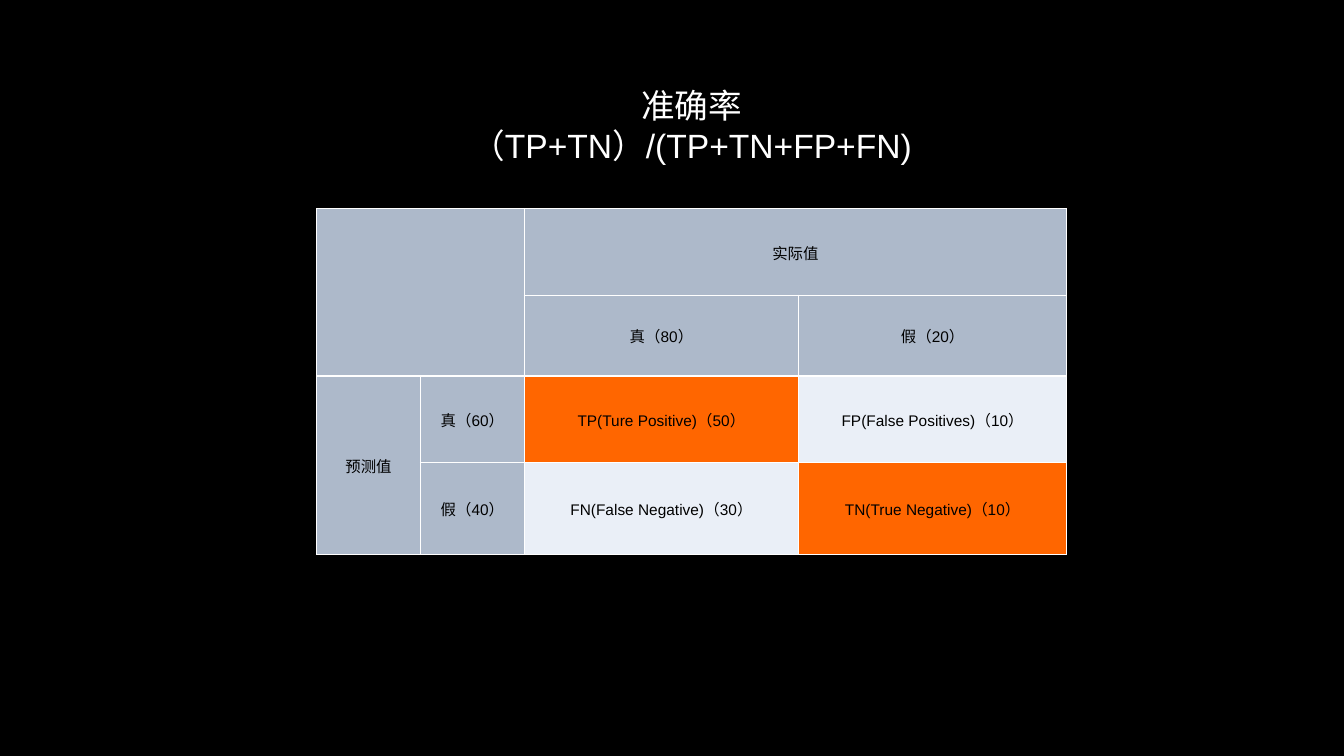
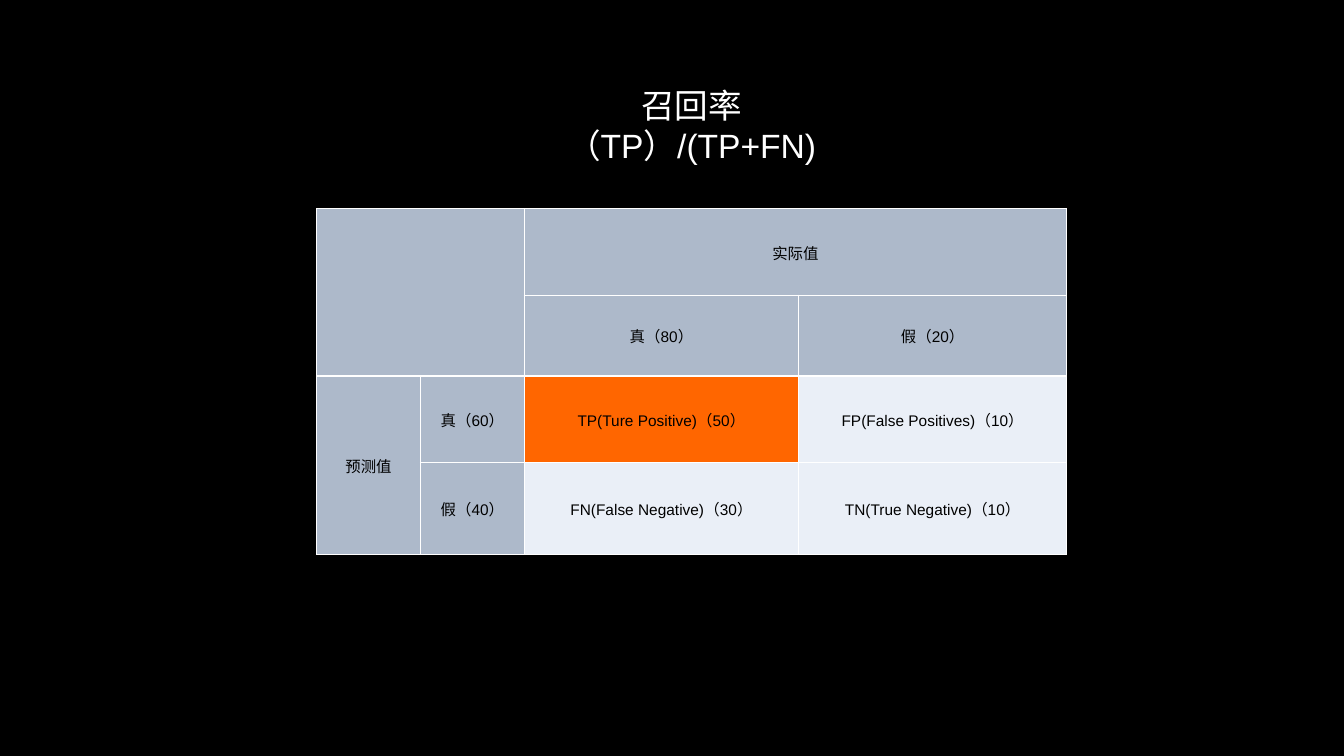
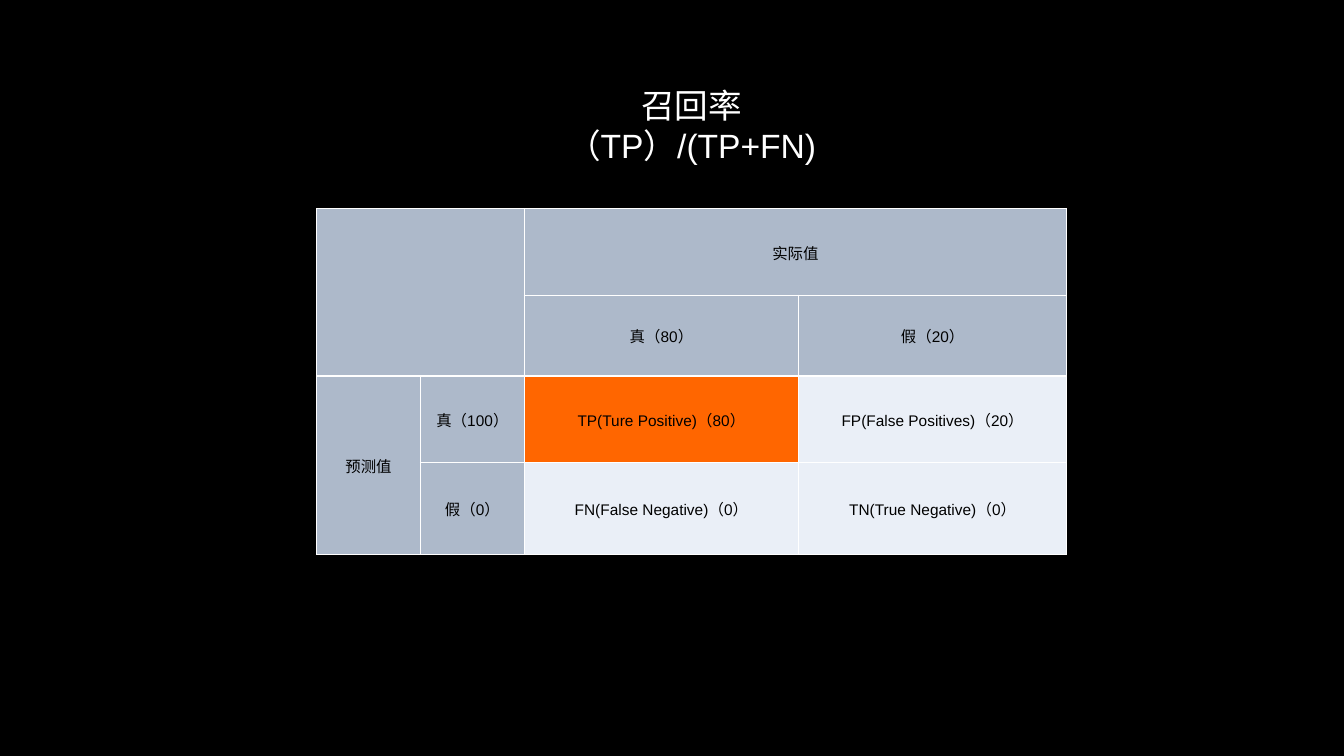
from dataclasses import dataclass

from lxml.etree import SubElement
from pptx import Presentation
from pptx.dml.color import RGBColor
from pptx.enum.text import MSO_ANCHOR, MSO_AUTO_SIZE, PP_ALIGN
from pptx.oxml.ns import qn
from pptx.presentation import Presentation as Deck
from pptx.slide import Slide
from pptx.table import _Cell as Cell
from pptx.text.text import TextFrame
from pptx.util import Inches, Pt

BLACK = RGBColor(0x00, 0x00, 0x00)
WHITE = RGBColor(0xFF, 0xFF, 0xFF)
HEADER_BLUE = RGBColor(0xAD, 0xB9, 0xCA)
PALE_BLUE = RGBColor(0xEA, 0xEF, 0xF7)
ORANGE = RGBColor(0xFF, 0x66, 0x00)

FONT = "Arial"
COLUMN_WIDTHS = (1.03, 1.03, 2.72, 2.66)
ROW_HEIGHTS = (0.86, 0.8, 0.86, 0.91)
MERGES = (((0, 0), (1, 1)), ((0, 2), (0, 3)), ((2, 0), (3, 0)))
TITLE_ONLY_LAYOUT = 5


@dataclass(frozen=True)
class Metric:
    """A metric, its formula, the four outcome counts and the cells it uses."""

    name: str
    formula: str
    tp: int
    fp: int
    fn: int
    tn: int
    highlighted: tuple[tuple[int, int], ...]

    def labels(self) -> dict[tuple[int, int], str]:
        """Return the table texts by row and column, with computed totals."""
        return {
            (0, 2): "实际值",
            (1, 2): f"真（{self.tp + self.fn}）",
            (1, 3): f"假（{self.fp + self.tn}）",
            (2, 0): "预测值",
            (2, 1): f"真（{self.tp + self.fp}）",
            (2, 2): f"TP(Ture Positive)（{self.tp}）",
            (2, 3): f"FP(False Positives)（{self.fp}）",
            (3, 1): f"假（{self.fn + self.tn}）",
            (3, 2): f"FN(False Negative)（{self.fn}）",
            (3, 3): f"TN(True Negative)（{self.tn}）",
        }


METRICS = (
    Metric("准确率", "（TP+TN）/(TP+TN+FP+FN)", 50, 10, 30, 10, ((2, 2), (3, 3))),
    Metric("召回率", "（TP）/(TP+FN)", 50, 10, 30, 10, ((2, 2),)),
    Metric("召回率", "（TP）/(TP+FN)", 80, 20, 0, 0, ((2, 2),)),
)


def format_text(frame: TextFrame, size: int, color: RGBColor) -> None:
    """Centre every paragraph and style its runs."""
    for para in frame.paragraphs:
        para.alignment = PP_ALIGN.CENTER
        for span in para.runs:
            span.font.name = FONT
            span.font.size = Pt(size)
            span.font.color.rgb = color


def add_borders(cell: Cell) -> None:
    """Give a cell a thin white line on all four sides."""
    properties = cell._tc.get_or_add_tcPr()
    for side in ("a:lnL", "a:lnR", "a:lnT", "a:lnB"):
        line = SubElement(properties, qn(side), w=str(Pt(1)))
        fill = SubElement(line, qn("a:solidFill"))
        SubElement(fill, qn("a:srgbClr"), val=str(WHITE))


def format_cell(cell: Cell, label: str, fill: RGBColor) -> None:
    """Fill one cell and set its text, margins and borders."""
    add_borders(cell)
    cell.fill.solid()
    cell.fill.fore_color.rgb = fill
    cell.vertical_anchor = MSO_ANCHOR.MIDDLE
    cell.margin_left = cell.margin_right = cell.margin_top = Inches(0.01)
    cell.margin_bottom = 0
    cell.text_frame.text = label
    format_text(cell.text_frame, 11, BLACK)


def set_title(page: Slide, metric: Metric) -> None:
    """Write the metric and its formula in the title placeholder."""
    title = page.shapes.title
    title.left, title.top = Inches(3.66), Inches(0.79)
    title.width, title.height = Inches(6.4), Inches(0.91)
    frame = title.text_frame
    frame.text = f"{metric.name}\n{metric.formula}"
    frame.word_wrap = True
    frame.auto_size = MSO_AUTO_SIZE.SHAPE_TO_FIT_TEXT
    frame.vertical_anchor = MSO_ANCHOR.TOP
    format_text(frame, 24, WHITE)


def add_confusion_matrix(page: Slide, metric: Metric) -> None:
    """Draw the table of predicted against actual values."""
    table = page.shapes.add_table(
        len(ROW_HEIGHTS), len(COLUMN_WIDTHS), Inches(3.14), Inches(2.07),
        Inches(sum(COLUMN_WIDTHS)), Inches(sum(ROW_HEIGHTS)),
    ).table
    table.first_row = table.horz_banding = False
    for column, width in zip(table.columns, COLUMN_WIDTHS):
        column.width = Inches(width)
    for row, height in zip(table.rows, ROW_HEIGHTS):
        row.height = Inches(height)

    labels = metric.labels()
    for row in range(len(ROW_HEIGHTS)):
        for column in range(len(COLUMN_WIDTHS)):
            place = (row, column)
            if place in metric.highlighted:
                fill = ORANGE
            else:
                fill = PALE_BLUE if row >= 2 and column >= 2 else HEADER_BLUE
            format_cell(table.cell(row, column), labels.get(place, ""), fill)
    for first, last in MERGES:
        table.cell(*first).merge(table.cell(*last))


def add_metric_page(deck: Deck, metric: Metric) -> None:
    """Add a slide that explains one metric."""
    page = deck.slides.add_slide(deck.slide_layouts[TITLE_ONLY_LAYOUT])
    set_title(page, metric)
    add_confusion_matrix(page, metric)


def main() -> None:
    """Build and save the deck."""
    deck = Presentation()
    deck.slide_width, deck.slide_height = Inches(13.33), Inches(7.5)
    background = deck.slide_master.background.fill
    background.solid()
    background.fore_color.rgb = BLACK
    for metric in METRICS:
        add_metric_page(deck, metric)
    deck.save("out.pptx")


main()
